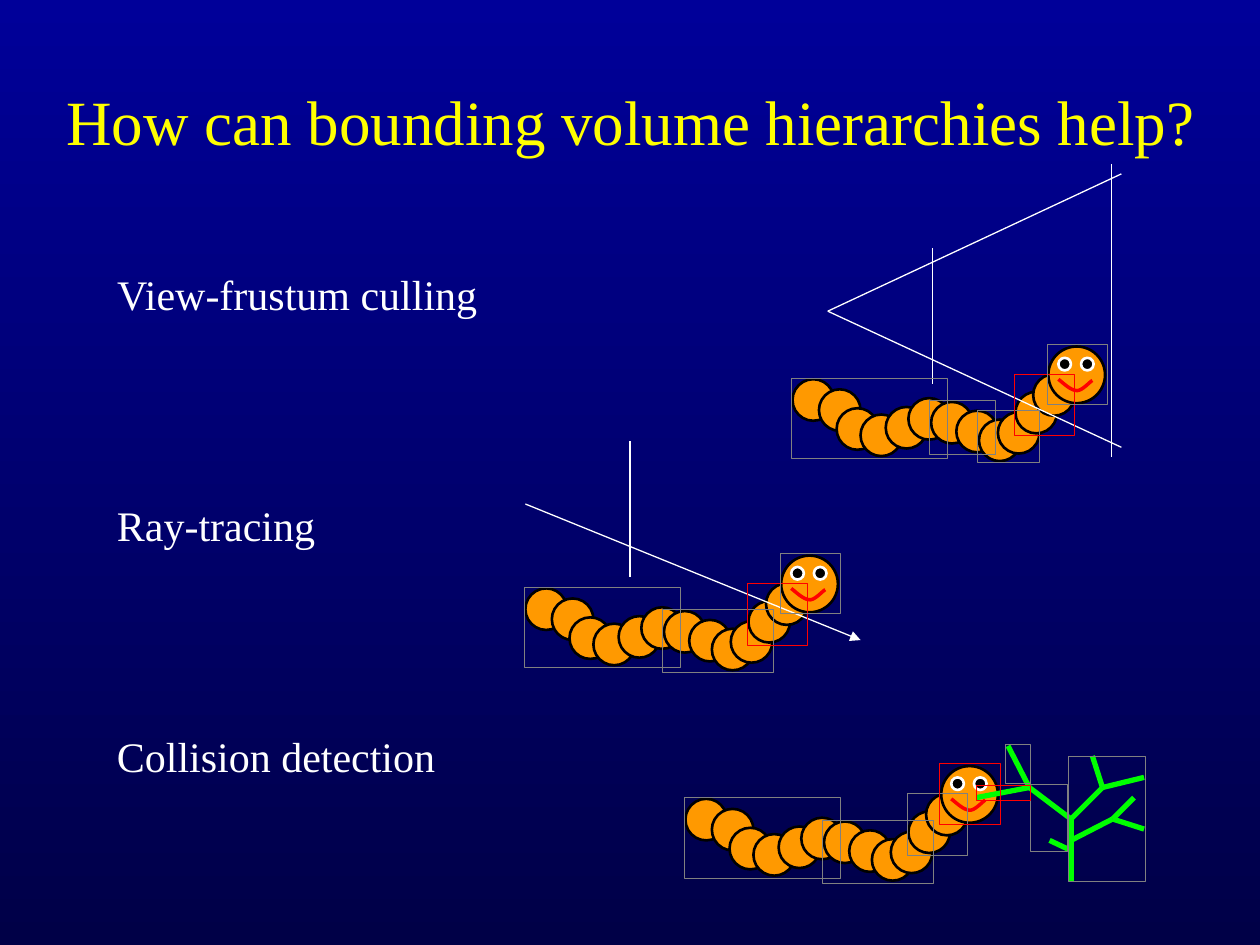
from lxml import etree
from pptx import Presentation
from pptx.dml.color import RGBColor
from pptx.enum.shapes import MSO_CONNECTOR, MSO_SHAPE
from pptx.enum.text import MSO_ANCHOR, MSO_AUTO_SIZE, PP_ALIGN
from pptx.oxml.ns import qn
from pptx.util import Inches, Pt

COLORS = {
    "top": "000099", "bottom": "000047", "title": "FFFF00", "white": "FFFFFF",
    "orange": "FF9900", "black": "000000", "red": "FF0000", "green": "00FF00",
    "gray": "808080",
}
FONT = "Times New Roman"

TITLE = "How can bounding volume hierarchies help?"
TOPICS = ["View-frustum culling", "Ray-tracing", "Collision detection"]
TOPIC_LEFT, TOPIC_TOP, TOPIC_STEP = 0.83, 2.08, 1.835

# Caterpillar parts, measured from its first segment
SEGMENT_SIZE, HEAD_SIZE, EYE_SIZE = 0.33, 0.45, 0.1
SEGMENTS = [(0, 0), (0.21, 0.08), (0.35, 0.23), (0.54, 0.28), (0.74, 0.22), (0.92, 0.15),
            (1.1, 0.18), (1.3, 0.25), (1.48, 0.32), (1.63, 0.26), (1.77, 0.1), (1.91, -0.04)]
HEAD = (2.03, -0.26)
EYES = [(0.08, 0.09), (0.26, 0.09)]
MOUTH = [[(0.08, 0.26), (0.13, 0.3), (0.18, 0.35), (0.23, 0.35)],
         [(0.23, 0.35), (0.27, 0.35), (0.33, 0.28), (0.35, 0.27)]]

# Bounding volumes, measured from the first segment
VOLUMES = {
    "back": (-0.01, -0.01, 1.24, 0.64),
    "middle": (1.09, 0.17, 0.88, 0.5),
    "middle left": (1.09, 0.17, 0.52, 0.43),
    "middle right": (1.47, 0.25, 0.49, 0.41),
    "neck": (1.76, -0.04, 0.48, 0.49),
    "head": (2.02, -0.28, 0.48, 0.48),
}
CATERPILLARS = [
    ((6.29, 3.01), {"back": "gray", "middle left": "gray", "middle right": "gray",
                    "neck": "red", "head": "gray"}),
    ((4.17, 4.67), {"back": "gray", "middle": "gray", "neck": "red", "head": "gray"}),
    ((5.44, 6.34), {"back": "gray", "middle": "gray", "neck": "gray", "head": "red"}),
]
TREE_VOLUMES = [((8.48, 6, 0.61, 1), "gray"), ((8.18, 6.23, 0.29, 0.53), "gray"),
                ((7.98, 5.91, 0.2, 0.31), "gray"), ((7.75, 6.23, 0.43, 0.12), "red")]

EYE_POINT = (6.57, 2.47)
VIEW_LINES = [(EYE_POINT, (8.9, 3.55)), (EYE_POINT, (8.9, 1.38)),
              ((8.82, 1.3), (8.82, 3.63)), ((7.4, 1.97), (7.4, 3.05)),
              ((5, 3.5), (5, 4.58))]
RAY = ((4.17, 4), (6.83, 5.08))

# Each fork of the tree with the ends of its branches
BRANCHES = [
    ((8.5, 6.5), [(8.5, 7), (8.75, 6.25), (8.17, 6.25)]),
    ((8.17, 6.25), [(8, 5.92), (7.75, 6.33)]),
    ((8.75, 6.25), [(8.67, 6), (9.08, 6.17)]),
    ((8.5, 6.67), [(8.83, 6.5)]),
    ((8.83, 6.5), [(9.08, 6.58), (9, 6.33)]),
    ((8.5, 6.75), [(8.33, 6.67)]),
]


def rgb(name):
    return RGBColor.from_string(COLORS[name])


def shifted(origin, offset):
    return origin[0] + offset[0], origin[1] + offset[1]


def place(shape, left, top, width, height):
    shape.left, shape.top = Inches(left), Inches(top)
    shape.width, shape.height = Inches(width), Inches(height)


def write(shape, text, size, color, align=PP_ALIGN.LEFT, anchor=MSO_ANCHOR.TOP,
          margin=0.1, hanging=0, before=0):
    frame = shape.text_frame
    frame.word_wrap = True
    frame.auto_size = MSO_AUTO_SIZE.NONE
    frame.vertical_anchor = anchor
    frame.margin_left = frame.margin_right = Inches(margin)
    paragraph = frame.paragraphs[0]
    paragraph.alignment = align
    paragraph.space_before = Pt(before)
    run = paragraph.add_run()
    run.text = text
    run.font.name, run.font.size = FONT, Pt(size)
    run.font.color.rgb = rgb(color)
    properties = paragraph._p.get_or_add_pPr()
    properties.set("marL", str(Inches(hanging)))
    properties.set("indent", str(-Inches(hanging)))
    etree.SubElement(properties, qn("a:buNone"))


def style(shape, line, width, fill=None):
    shape.shadow.inherit = False
    if fill:
        shape.fill.solid()
        shape.fill.fore_color.rgb = rgb(fill)
    else:
        shape.fill.background()
    shape.line.color.rgb = rgb(line)
    shape.line.width = Pt(width)


def add_circle(shapes, position, size, fill, line):
    circle = shapes.add_shape(MSO_SHAPE.OVAL, *map(Inches, (*position, size, size)))
    style(circle, line, 1.5, fill)


def add_volume(shapes, box, color):
    style(shapes.add_shape(MSO_SHAPE.RECTANGLE, *map(Inches, box)), color, 0.5)


def add_line(shapes, start, end, color, width, arrow=False):
    line = shapes.add_connector(MSO_CONNECTOR.STRAIGHT, *map(Inches, (*start, *end)))
    line.line.color.rgb = rgb(color)
    line.line.width = Pt(width)
    if arrow:
        etree.SubElement(line.line._get_or_add_ln(), qn("a:tailEnd"), type="triangle")
    etree.SubElement(line._element.spPr, qn("a:effectLst"))


def curve_points(curve, steps=10):
    """Points along a cubic Bezier curve, without its first point."""
    for step in range(1, steps + 1):
        t = step / steps
        weights = ((1 - t) ** 3, 3 * t * (1 - t) ** 2, 3 * t * t * (1 - t), t ** 3)
        yield tuple(sum(w * point[axis] for w, point in zip(weights, curve)) for axis in (0, 1))


def add_caterpillar(shapes, origin):
    for segment in SEGMENTS:
        add_circle(shapes, shifted(origin, segment), SEGMENT_SIZE, "orange", "black")
    head = shifted(origin, HEAD)
    face = shapes.add_group_shape().shapes
    add_circle(face, head, HEAD_SIZE, "orange", "black")
    for eye in EYES:
        add_circle(face, shifted(head, eye), EYE_SIZE, "black", "white")
    points = [MOUTH[0][0]] + [point for curve in MOUTH for point in curve_points(curve)]
    points = [tuple(map(Inches, shifted(head, point))) for point in points]
    builder = face.build_freeform(*points[0])
    builder.add_line_segments(points[1:], close=False)
    style(builder.convert_to_shape(), "red", 2)


def main():
    presentation = Presentation()
    presentation.slide_width, presentation.slide_height = Inches(10), Inches(7.5)
    slide = presentation.slides.add_slide(presentation.slide_layouts[1])
    shapes = slide.shapes

    background = slide.background.fill
    background.gradient()
    background.gradient_angle = 270
    for stop, position, color in zip(background.gradient_stops, (0, 1), ("top", "bottom")):
        stop.position = position
        stop.color.rgb = rgb(color)

    place(shapes.title, 0.42, 0.33, 9.17, 1.25)
    write(shapes.title, TITLE, 36, "title", align=PP_ALIGN.CENTER,
          anchor=MSO_ANCHOR.MIDDLE, margin=0.05)
    for row, topic in enumerate(TOPICS):
        holder = slide.placeholders[1] if row == 0 else shapes.add_textbox(0, 0, 0, 0)
        place(holder, TOPIC_LEFT, TOPIC_TOP + row * TOPIC_STEP, 3.17, 0.5)
        write(holder, topic, 24, "white", hanging=0.38, before=6)

    for origin, _ in CATERPILLARS:
        add_caterpillar(shapes, origin)
    for start, end in VIEW_LINES:
        add_line(shapes, start, end, "white", 0.75)
    add_line(shapes, *RAY, "white", 0.75, arrow=True)
    for fork, ends in BRANCHES:
        for end in ends:
            add_line(shapes, fork, end, "green", 3)

    for origin, volumes in CATERPILLARS:
        for name, color in volumes.items():
            left, top, width, height = VOLUMES[name]
            add_volume(shapes, (*shifted(origin, (left, top)), width, height), color)
    for box, color in TREE_VOLUMES:
        add_volume(shapes, box, color)

    presentation.save("out.pptx")


if __name__ == "__main__":
    main()
